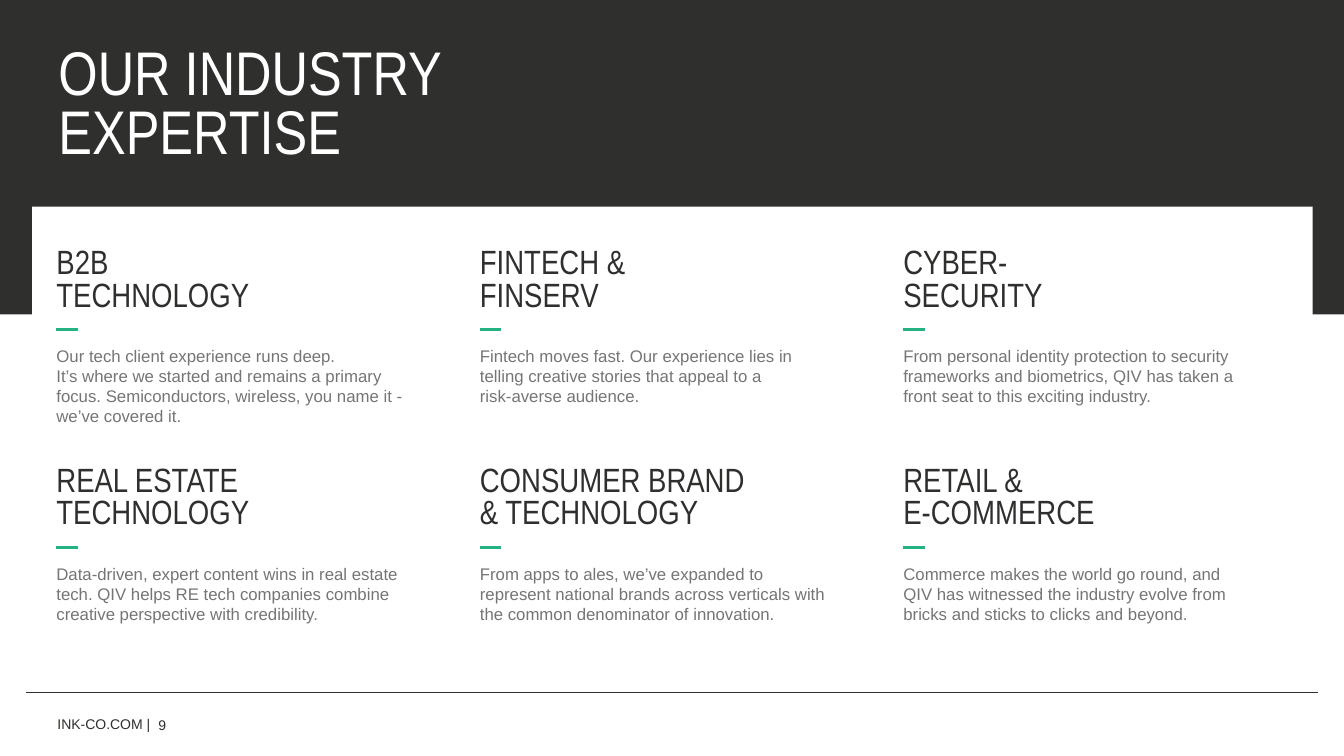
from pptx import Presentation
from pptx.dml.color import RGBColor
from pptx.enum.shapes import MSO_CONNECTOR, MSO_SHAPE
from pptx.enum.text import MSO_ANCHOR, MSO_AUTO_SIZE, PP_ALIGN
from pptx.oxml.ns import qn
from pptx.util import Inches, Pt
from lxml import etree

STRAIGHT = MSO_CONNECTOR.STRAIGHT
RECTANGLE = MSO_SHAPE.RECTANGLE
TOP, MIDDLE = MSO_ANCHOR.TOP, MSO_ANCHOR.MIDDLE
LEFT = PP_ALIGN.LEFT
NO_AUTOFIT = MSO_AUTO_SIZE.NONE

CHARCOAL = RGBColor(0x2F, 0x2F, 0x2E)
WHITE = RGBColor(0xFF, 0xFF, 0xFF)
GRAY = RGBColor(0x75, 0x75, 0x75)
GREEN = RGBColor(0x23, 0xB2, 0x80)
HEADING_FONT, BODY_FONT = "Arial Narrow", "Arial"

# Heading lines and description, in reading order
INDUSTRIES = [
    ("B2B\nTECHNOLOGY",
     "Our tech client experience runs deep.\vIt’s where we started and remains a primary "
     "focus. Semiconductors, wireless, you name it - we’ve covered it."),
    ("FINTECH &\nFINSERV",
     "Fintech moves fast. Our experience lies in telling creative stories that appeal "
     "to a\vrisk-averse audience."),
    ("CYBER-\nSECURITY",
     "From personal identity protection to security frameworks and biometrics, QIV has "
     "taken a front seat to this exciting industry."),
    ("REAL ESTATE\nTECHNOLOGY",
     "Data-driven, expert content wins in real estate tech. QIV helps RE tech companies "
     "combine creative perspective with credibility."),
    ("CONSUMER BRAND\n& TECHNOLOGY",
     "From apps to ales, we’ve expanded to represent national brands across verticals "
     "with the common denominator of innovation."),
    ("RETAIL &\nE-COMMERCE",
     "Commerce makes the world go round, and QIV has witnessed the industry evolve from "
     "bricks and sticks to clicks and beyond."),
]
COLUMNS = 3
COLUMN_STEP, ROW_STEP = 4.2, 2.16


def add_block(slide, left, top, width, height, color):
    block = slide.shapes.add_shape(
        RECTANGLE, Inches(left), Inches(top), Inches(width), Inches(height))
    block.shadow.inherit = False
    block.fill.solid()
    block.fill.fore_color.rgb = color
    block.line.fill.background()


def add_rule(slide, left, top, width, color, weight):
    rule = slide.shapes.add_connector(
        STRAIGHT, Inches(left), Inches(top), Inches(left + width), Inches(top))
    rule.line.color.rgb = color
    rule.line.width = Pt(weight)
    etree.SubElement(rule._element.spPr, qn("a:effectLst"))


def prepare_frame(frame, anchor):
    frame.margin_left = frame.margin_right = 0
    frame.margin_top = frame.margin_bottom = 0
    frame.word_wrap = True
    frame.auto_size = NO_AUTOFIT
    frame.vertical_anchor = anchor


def add_textbox(slide, left, top, width, height, text, anchor):
    box = slide.shapes.add_textbox(
        Inches(left), Inches(top), Inches(width), Inches(height))
    prepare_frame(box.text_frame, anchor)
    box.text_frame.text = text
    return box.text_frame.paragraphs


def format_runs(paragraph, font_name, size, color):
    for run in paragraph.runs:
        run.font.name = font_name
        run.font.size = Pt(size)
        run.font.color.rgb = color


def add_title(slide, left, top, width, height, text):
    title = slide.shapes.title
    title.left, title.top = Inches(left), Inches(top)
    title.width, title.height = Inches(width), Inches(height)
    prepare_frame(title.text_frame, MIDDLE)
    title.text_frame.text = text
    line = title.text_frame.paragraphs[0]
    line.alignment = LEFT
    line.line_spacing = 0.8
    format_runs(line, HEADING_FONT, 44, WHITE)
    # Bring the title in front of the dark band
    title._element.getparent().append(title._element)


def add_industry(slide, left, top, width, height, heading, description):
    *heading_lines, body = add_textbox(
        slide, left, top, width, height, f"{heading}\n{description}", TOP)
    for line in heading_lines:
        line.line_spacing = 0.8
        format_runs(line, HEADING_FONT, 24, CHARCOAL)
    body.space_before = Pt(23)
    format_runs(body, BODY_FONT, 12, GRAY)
    add_rule(slide, left, top + 0.8, 0.21, GREEN, 2)


def add_industry_grid(slide, left, top):
    for index, (heading, description) in enumerate(INDUSTRIES):
        row, column = divmod(index, COLUMNS)
        add_industry(slide, left + column * COLUMN_STEP, top + row * ROW_STEP,
                     3.46, 1.68, heading, description)


def add_footer(slide, left, top, site, page):
    add_rule(slide, 0.26, top, 12.81, CHARCOAL, 1)
    for offset, drop, width, text in ((0, 0.11, 1, site), (1, 0.12, 1.18, page)):
        label = add_textbox(slide, left + offset, top + drop, width, 0.4, text, MIDDLE)[0]
        format_runs(label, BODY_FONT, 10, CHARCOAL)


def main():
    deck = Presentation()
    deck.slide_width, deck.slide_height = Inches(13.33), Inches(7.5)
    slide = deck.slides.add_slide(deck.slide_layouts[5])
    add_block(slide, 0, 0, 13.33, 3.12, CHARCOAL)
    add_block(slide, 0.32, 2.05, 12.7, 1.4, WHITE)
    add_title(slide, 0.58, 0.44, 10.12, 1.24, "OUR INDUSTRY\vEXPERTISE")
    add_industry_grid(slide, 0.56, 2.47)
    add_footer(slide, 0.57, 6.87, "INK-CO.COM |", "9")
    deck.save("out.pptx")


if __name__ == "__main__":
    main()
